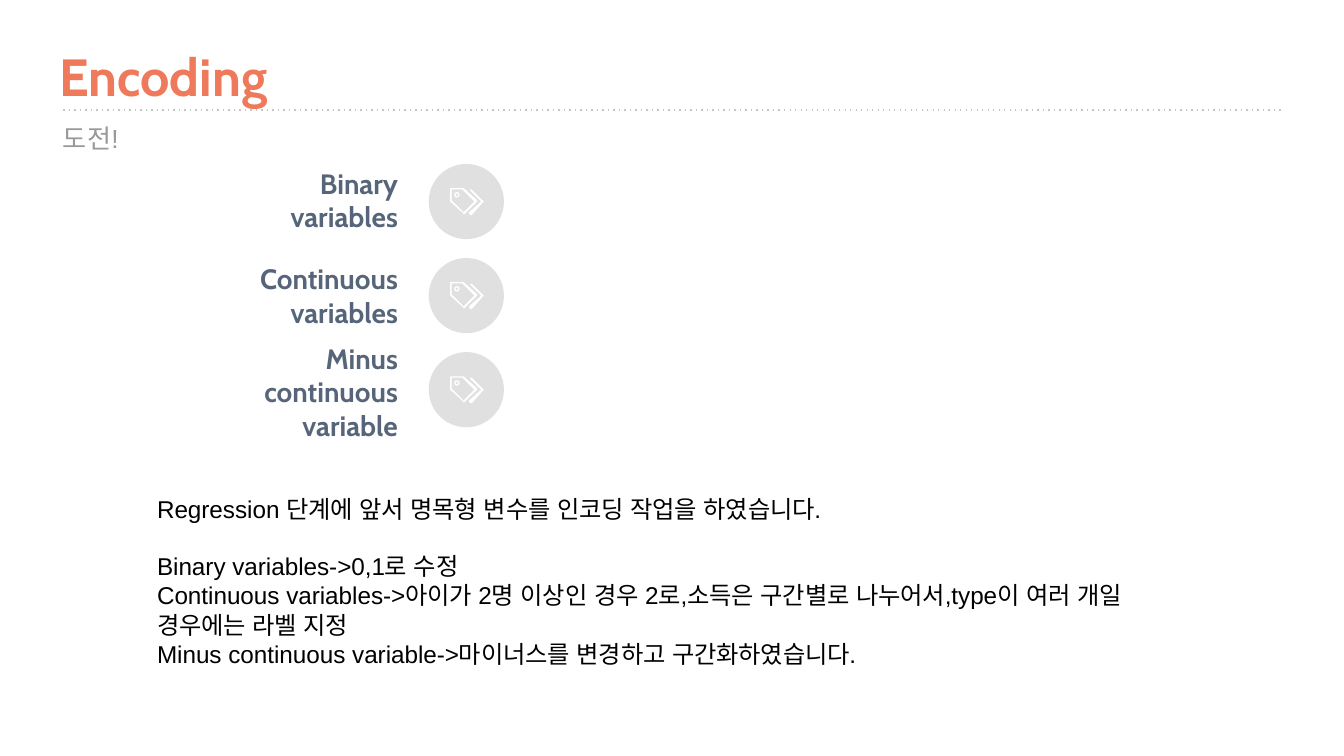
from math import cos, pi, sin

from lxml import etree
from pptx import Presentation
from pptx.dml.color import RGBColor
from pptx.enum.shapes import MSO_CONNECTOR, MSO_SHAPE
from pptx.enum.text import MSO_ANCHOR as ANCHOR, MSO_AUTO_SIZE, PP_ALIGN as ALIGN
from pptx.oxml.ns import qn
from pptx.util import Inches, Pt

ORANGE = RGBColor(0xEE, 0x79, 0x5B)
SLATE = RGBColor(0x56, 0x65, 0x79)
GRAY = RGBColor(0x99, 0x99, 0x99)
RULE_GRAY = RGBColor(0xC6, 0xC5, 0xC5)
DISC_GRAY = RGBColor(0xD8, 0xD8, 0xD8)
BLACK = RGBColor(0, 0, 0)
WHITE = RGBColor(0xFF, 0xFF, 0xFF)


def write(box, lines, font, size, color, bold=False, align=ALIGN.LEFT, anchor=ANCHOR.MIDDLE):
    frame = box.text_frame
    frame.word_wrap = True
    frame.auto_size = MSO_AUTO_SIZE.NONE
    frame.vertical_anchor = anchor
    frame.margin_left = frame.margin_right = Inches(0.1)
    frame.margin_top = frame.margin_bottom = Inches(0.1)
    for number, line in enumerate(lines):
        para = frame.add_paragraph() if number else frame.paragraphs[0]
        para.alignment = align
        span = para.add_run()
        span.text = line
        span.font.name = font
        span.font.size = Pt(size)
        span.font.bold = bold
        span.font.color.rgb = color
        # The same face for Korean letters
        etree.SubElement(span.font._element, qn("a:ea"), typeface=font)
    return frame


def draw_outline(shapes, contours, top):
    points = [[(Inches(x), Inches(top + y)) for x, y in contour] for contour in contours]
    builder = shapes.build_freeform(*points[0][0], scale=1.0)
    builder.add_line_segments(points[0][1:], close=True)
    for contour in points[1:]:
        builder.move_to(*contour[0])
        builder.add_line_segments(contour[1:], close=True)
    outline = builder.convert_to_shape()
    outline.shadow.inherit = False
    outline.fill.solid()
    outline.fill.fore_color.rgb = WHITE
    outline.line.fill.background()


# Widescreen page, 16:9
deck = Presentation()
deck.slide_width = Inches(10)
deck.slide_height = Inches(10) * 9 // 16
page = deck.slides.add_slide(deck.slide_layouts[5])

# Title, dotted rule and subtitle
title = page.shapes.title
title.left, title.top, title.width, title.height = map(Inches, (0.34, 0.23, 9.32, 0.51))
write(title, ["Encoding"], "Cabin", 28, ORANGE, bold=True, anchor=ANCHOR.TOP)

rule = page.shapes.add_connector(
    MSO_CONNECTOR.STRAIGHT, Inches(0.47), Inches(0.82), Inches(9.53), Inches(0.82))
rule.line.color.rgb = RULE_GRAY
rule.line.width = Pt(0.75)
etree.SubElement(rule.line._get_or_add_ln(), qn("a:prstDash"), val="dot")
etree.SubElement(rule._element.spPr, qn("a:effectLst"))

subtitle = page.shapes.add_textbox(Inches(0.37), Inches(0.85), Inches(9.32), Inches(0.35))
write(subtitle, ["도전!"], "Arial", 14, GRAY)

# Tag icon contours, measured from the top of its disc
tag_rim = [(3.36, 0.18), (3.45, 0.18), (3.55, 0.27), (3.55, 0.28), (3.46, 0.37),
           (3.45, 0.38), (3.45, 0.37), (3.35, 0.28), (3.35, 0.18)]
tag_inside = [(3.44, 0.19), (3.36, 0.19), (3.36, 0.27), (3.45, 0.36), (3.53, 0.28)]
tag_behind = [(3.51, 0.19), (3.59, 0.27), (3.6, 0.28), (3.59, 0.29), (3.51, 0.38),
              (3.5, 0.38), (3.49, 0.37), (3.49, 0.36), (3.58, 0.28), (3.5, 0.2), (3.5, 0.19)]
eyelet = [[(3.4 + radius * cos(step * pi / 8), 0.23 + radius * sin(step * pi / 8))
           for step in range(16)] for radius in (0.02, 0.01)]

# Variable kinds: label, disc and tag
kinds = [
    ("Binary variables", 1.65, 1.34, 0.29),
    ("Continuous variables", 1.65, 2.05, 0.29),
    ("Minus continuous variable", 1.36, 2.76, 0.31),
]
for row, (label, left, label_top, height) in enumerate(kinds):
    top = 1.22 + 0.7 * row
    disc = page.shapes.add_shape(
        MSO_SHAPE.OVAL, Inches(3.19), Inches(top), Inches(0.56), Inches(0.56))
    disc.shadow.inherit = False
    disc.fill.solid()
    disc.fill.fore_color.rgb = DISC_GRAY
    disc.line.fill.background()
    color = disc._element.spPr.find(qn("a:solidFill"))[0]
    etree.SubElement(color, qn("a:alpha"), val="78000")

    icon = page.shapes.add_group_shape()
    for contours in ([tag_rim, tag_inside], [tag_behind], eyelet):
        draw_outline(icon.shapes, contours, top)

    box = page.shapes.add_textbox(
        Inches(left), Inches(label_top), Inches(3.06 - left), Inches(height))
    write(box, [label], "Cabin", 15, SLATE, bold=True, align=ALIGN.RIGHT)

# Explanation
explanation = page.shapes.add_textbox(Inches(1.07), Inches(3.42), Inches(7.85), Inches(1.81))
frame = write(explanation, [
    "Regression 단계에 앞서 명목형 변수를 인코딩 작업을 하였습니다.",
    "Binary variables->0,1로 수정",
    "Continuous variables->아이가 2명 이상인 경우 2로,소득은 구간별로 나누어서,"
    "type이 여러 개일 경우에는 라벨 지정",
    "Minus continuous variable->마이너스를 변경하고 구간화하였습니다.",
], "Arial", 13, BLACK)
frame.paragraphs[1].space_before = Pt(15)

# White band at the foot
band = page.shapes.add_shape(
    MSO_SHAPE.RECTANGLE, Inches(0.34), Inches(5.04), Inches(9.32), Inches(0.58))
band.shadow.inherit = False
band.fill.solid()
band.fill.fore_color.rgb = WHITE
band.line.color.rgb = WHITE
band.line.width = Pt(2)

deck.save("out.pptx")
